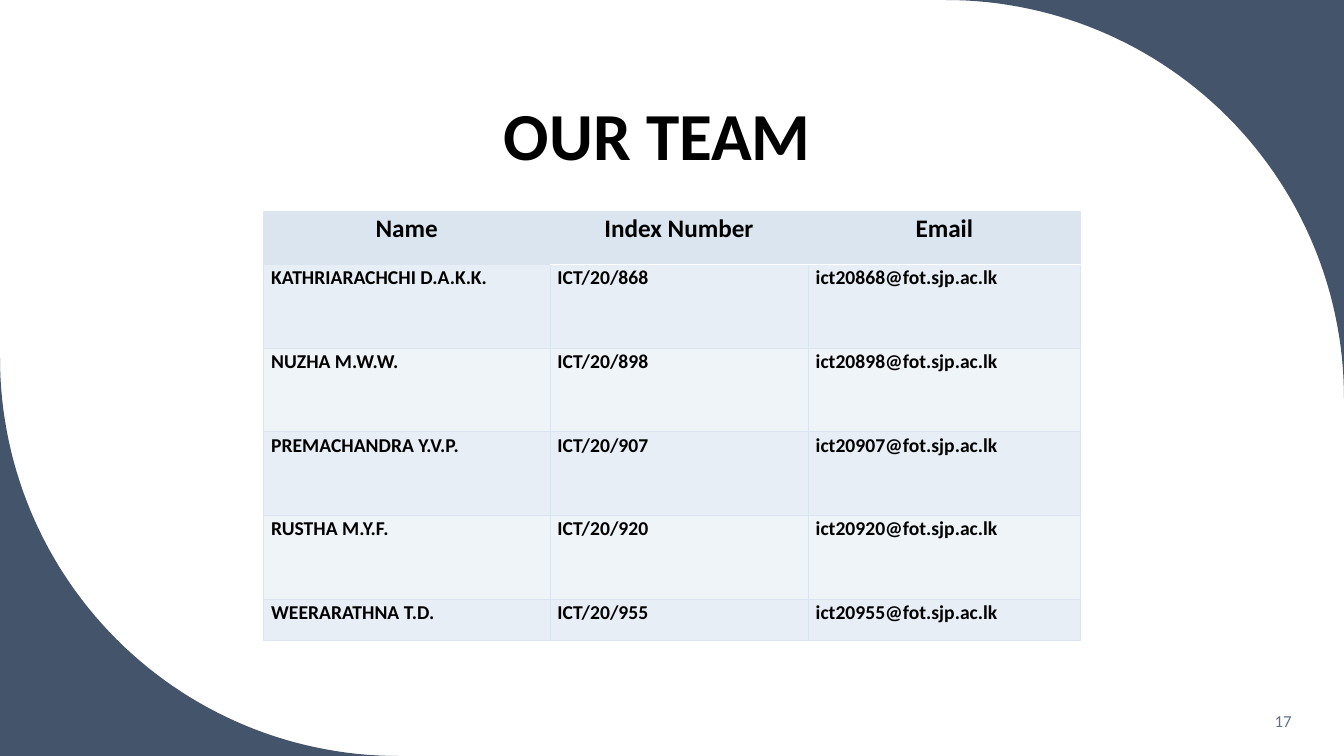
from dataclasses import dataclass
from math import cos, pi, sin

from lxml.etree import SubElement
from pptx import Presentation
from pptx.dml.color import RGBColor
from pptx.enum.text import MSO_ANCHOR, MSO_AUTO_SIZE, PP_ALIGN
from pptx.oxml.ns import qn
from pptx.util import Pt

COLORS = {
    "corner": "44546A",
    "text": "000000",
    "number": "637183",
    "header": "DAE5EF",
    "odd_row": "E7EEF5",
    "even_row": "EFF4F8",
    "white": "FFFFFF",
}
FONT = "Calibri"
SLIDE_WIDTH, SLIDE_HEIGHT = 960, 540
CORNER_RADIUS = 284.4
ARC_STEPS = 60
COLUMN_WIDTHS = [204.5, 184.5, 194.5]
ROW_HEIGHTS = [37.8, 59.8, 59.8, 59.8, 59.8, 29.3]
HEADINGS = ["Name", "Index Number", "Email"]


@dataclass
class Member:
    """One team member; the index and email share a number."""
    name: str
    number: int

    def cells(self) -> list[str]:
        """Return the texts of the member's table row."""
        return [self.name, f"ICT/20/{self.number}", f"ict20{self.number}@fot.sjp.ac.lk"]


@dataclass
class Corner:
    """A slide corner with the direction towards the slide centre."""
    x: float
    y: float
    inward: int


MEMBERS = [
    Member("KATHRIARACHCHI D.A.K.K.", 868),
    Member("NUZHA M.W.W.", 898),
    Member("PREMACHANDRA Y.V.P.", 907),
    Member("RUSTHA M.Y.F.", 920),
    Member("WEERARATHNA T.D.", 955),
]
CORNERS = [Corner(SLIDE_WIDTH, 0, 1), Corner(0, SLIDE_HEIGHT, -1)]


def color(name: str) -> RGBColor:
    """Look up a named colour."""
    return RGBColor.from_string(COLORS[name])


def write_text(text_frame, text: str, *, size: float, fill: str = "text", bold: bool = True,
               align=PP_ALIGN.LEFT, spacing: float = 1.0) -> None:
    """Write one formatted paragraph into a text frame."""
    paragraph = text_frame.paragraphs[0]
    paragraph.alignment = align
    paragraph.line_spacing = spacing
    paragraph.space_before = Pt(0)
    run = paragraph.add_run()
    run.text = text
    run.font.name = FONT
    run.font.size = Pt(size)
    run.font.bold = bold
    run.font.color.rgb = color(fill)


def add_corner(slide, corner: Corner) -> None:
    """Fill the area between a slide corner and a quarter circle."""
    center_x = corner.x - corner.inward * CORNER_RADIUS
    center_y = corner.y + corner.inward * CORNER_RADIUS
    angles = [step * pi / 2 / ARC_STEPS for step in range(ARC_STEPS + 1)]
    arc = [(Pt(center_x + corner.inward * CORNER_RADIUS * sin(angle)),
            Pt(center_y - corner.inward * CORNER_RADIUS * cos(angle))) for angle in angles]
    builder = slide.shapes.build_freeform(Pt(corner.x), Pt(corner.y))
    builder.add_line_segments(arc, close=True)
    shape = builder.convert_to_shape()
    shape.shadow.inherit = False
    shape.fill.solid()
    shape.fill.fore_color.rgb = color("corner")
    shape.line.fill.background()


def add_border(cell, side: str, fill: str, width: float) -> None:
    """Add one solid border line to a table cell."""
    properties = cell._tc.get_or_add_tcPr()
    line = SubElement(properties, qn(f"a:ln{side}"), w=str(Pt(width)))
    solid = SubElement(line, qn("a:solidFill"))
    SubElement(solid, qn("a:srgbClr"), val=COLORS[fill])


def format_cell(cell, row: int, column: int, text: str) -> None:
    """Give a cell its text, borders and fill."""
    is_header = row == 0
    white_side = {0: "B", 1: "T"}.get(row) if column > 0 else None
    for side in "LRTB":
        if is_header and (side == "R" and column < 2 or side == "L" and column > 0):
            add_border(cell, side, "header", 0.5)
        elif side == white_side:
            add_border(cell, side, "white", 1)
        else:
            add_border(cell, side, "header", 0.5)
    cell.fill.solid()
    band = "odd_row" if row % 2 else "even_row"
    cell.fill.fore_color.rgb = color("header" if is_header else band)
    cell.margin_left = cell.margin_right = Pt(5.4)
    cell.margin_top = cell.margin_bottom = Pt(0)
    write_text(cell.text_frame, text, size=18 if is_header else 14, spacing=1.07,
               align=PP_ALIGN.CENTER if is_header else PP_ALIGN.LEFT)


def add_team_table(slide) -> None:
    """Add the table of team members."""
    rows = [HEADINGS] + [member.cells() for member in MEMBERS]
    frame = slide.shapes.add_table(len(rows), len(HEADINGS), Pt(188.3), Pt(151),
                                   Pt(sum(COLUMN_WIDTHS)), Pt(sum(ROW_HEIGHTS)))
    table = frame.table
    table.first_row = table.horz_banding = False
    for column, width in zip(table.columns, COLUMN_WIDTHS):
        column.width = Pt(width)
    for row, height in zip(table.rows, ROW_HEIGHTS):
        row.height = Pt(height)
    for row, texts in enumerate(rows):
        for column, text in enumerate(texts):
            format_cell(table.cell(row, column), row, column, text)


def place_title(slide) -> None:
    """Move the title placeholder above the corners and format it."""
    title = slide.shapes.title
    title.element.getparent().append(title.element)
    title.left, title.top, title.width, title.height = Pt(352.8), Pt(24.5), Pt(255), Pt(104.4)
    title.text_frame.vertical_anchor = MSO_ANCHOR.BOTTOM
    title.text_frame.auto_size = MSO_AUTO_SIZE.NONE
    write_text(title.text_frame, "OUR TEAM", size=48, spacing=0.9)


def add_page_number(slide) -> None:
    """Add the page number at the lower right."""
    box = slide.shapes.add_textbox(Pt(799.2), Pt(500.5), Pt(130.5), Pt(28.8))
    box.text_frame.word_wrap = True
    box.text_frame.vertical_anchor = MSO_ANCHOR.MIDDLE
    write_text(box.text_frame, "17", size=12, fill="number", bold=False, align=PP_ALIGN.RIGHT)


def main() -> None:
    """Build and save the team slide."""
    presentation = Presentation()
    presentation.slide_width, presentation.slide_height = Pt(SLIDE_WIDTH), Pt(SLIDE_HEIGHT)
    slide = presentation.slides.add_slide(presentation.slide_layouts.get_by_name("Title Only"))
    for corner in CORNERS:
        add_corner(slide, corner)
    place_title(slide)
    add_team_table(slide)
    add_page_number(slide)
    presentation.save("out.pptx")


main()
